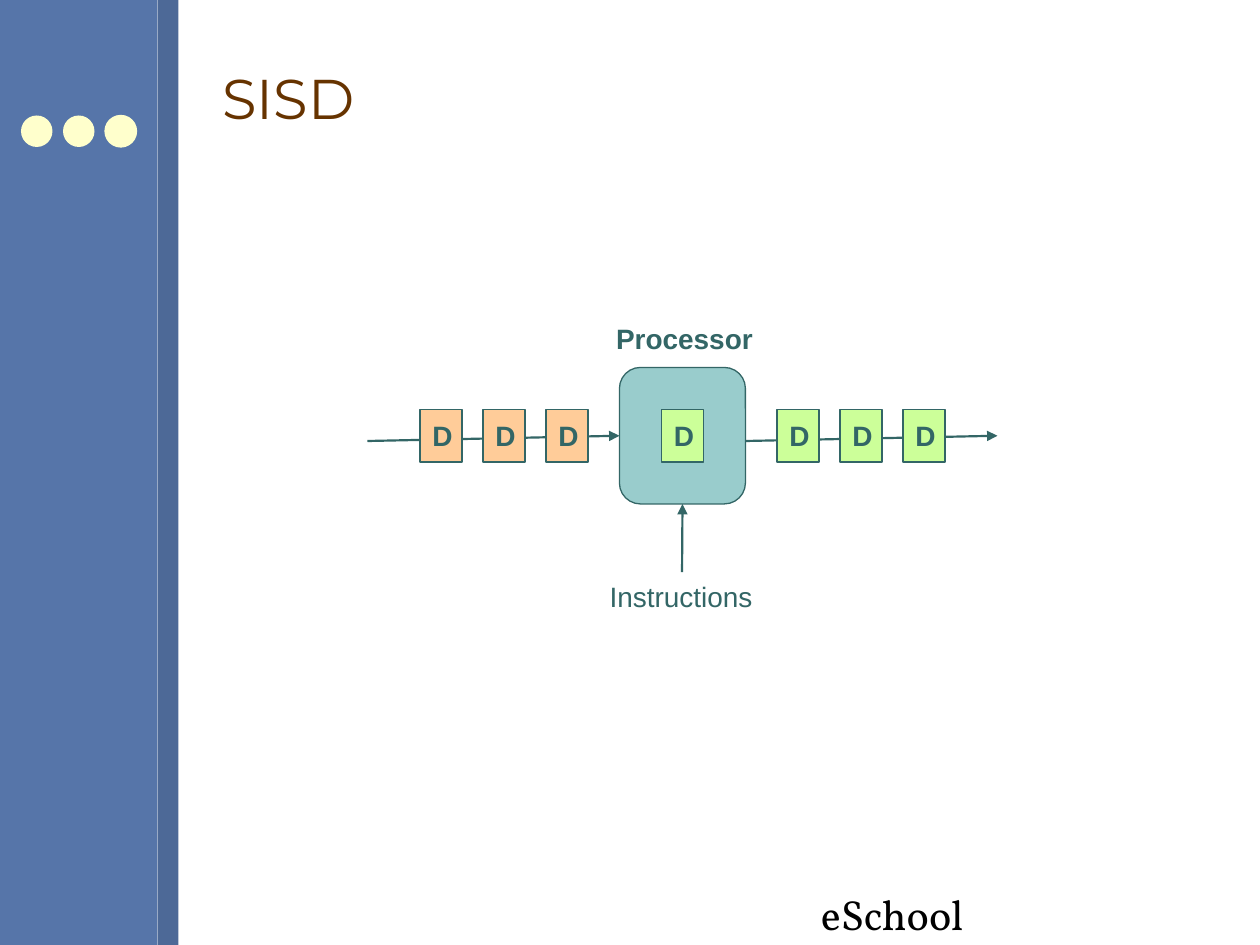
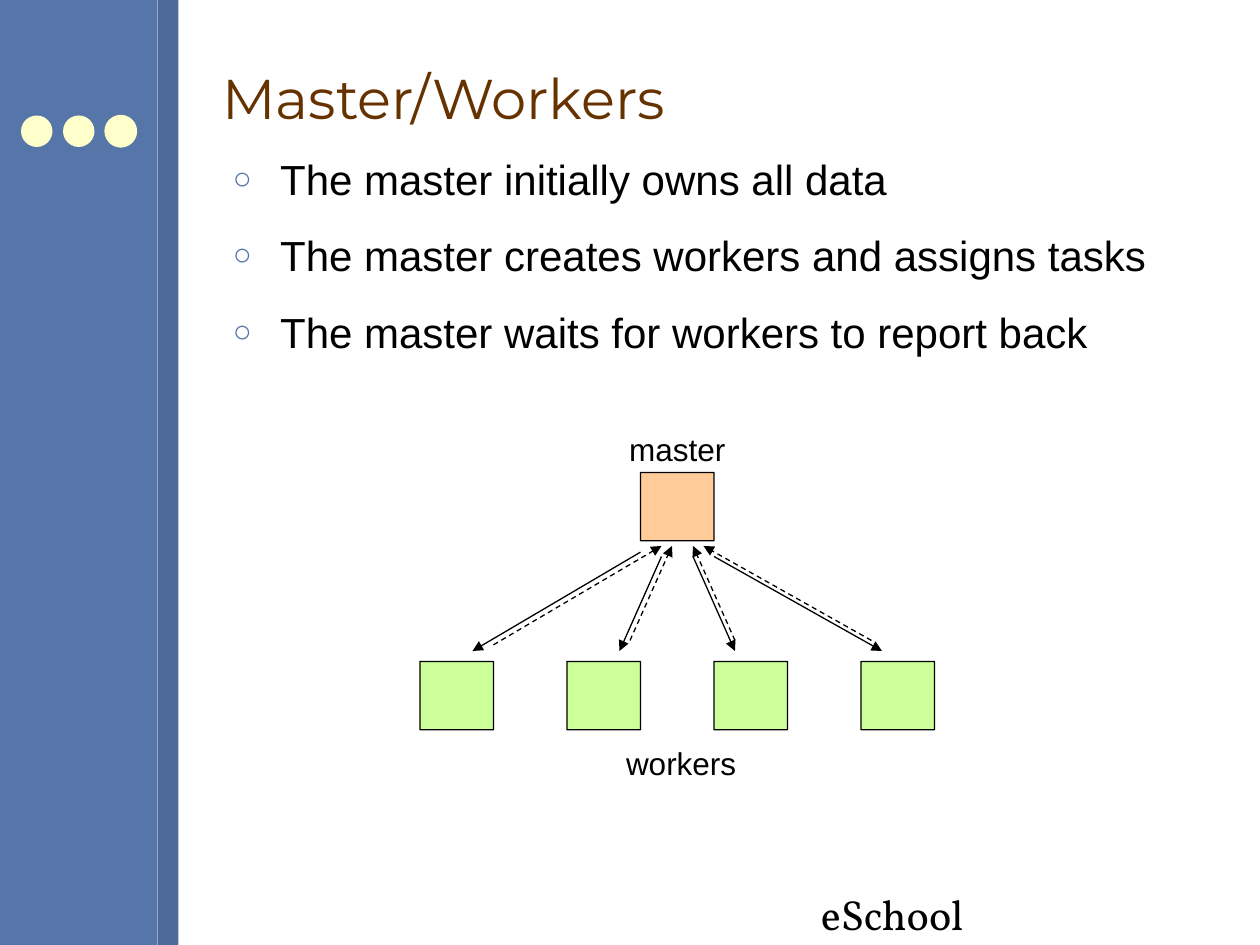
"""Build two slides on parallel processing: SISD and master/workers."""
import pptx
import pptx.util
import pptx.dml.color
import pptx.enum.dml
import pptx.enum.shapes
import pptx.enum.text
import pptx.oxml
from pptx.oxml import ns

Pt = pptx.util.Pt
Shape = pptx.enum.shapes.MSO_SHAPE
Align = pptx.enum.text.PP_ALIGN
Anchor = pptx.enum.text.MSO_ANCHOR
Fit = pptx.enum.text.MSO_AUTO_SIZE

BLUE, NAVY, CREAM, BROWN = "5675A9", "4D6997", "FFFFCC", "663300"
TEAL, AQUA, PEACH, LIME = "336666", "99CCCC", "FFCC99", "CCFF99"
BLACK, WHITE = "000000", "FFFFFF"


def color(code):
    """Turn a hex string into a colour."""
    return pptx.dml.color.RGBColor.from_string(code)


def node(parent, tag, **attrs):
    """Append a drawing element to a parent."""
    item = pptx.oxml.parse_xml(f"<a:{tag} {ns.nsdecls('a')}/>")
    for key, value in attrs.items():
        item.set(key, value)
    parent.append(item)
    return item


def write(frame, words, size=16, font="Arial", ink=BLACK, bold=False,
          align=None, lead=None, gap=None, bullet=None):
    """Fill a text frame, one paragraph for each line of words."""
    for index, line in enumerate(words.split("\n")):
        para = frame.add_paragraph() if index else frame.paragraphs[0]
        if align is not None:
            para.alignment = align
        if lead:
            para.line_spacing = lead
        if gap:
            para.space_before = para.space_after = Pt(gap)
        run = para.add_run()
        run.text = line
        run.font.size, run.font.name, run.font.bold = Pt(size), font, bold
        run.font.color.rgb = color(ink)
        if bullet:
            props = para._p.get_or_add_pPr()
            props.set("marL", str(Pt(27)))
            props.set("indent", str(-Pt(27)))
            node(node(props, "buClr"), "srgbClr", val=BLUE)
            node(props, "buSzPct", val="75000")
            node(props, "buFont", typeface=font)
            node(props, "buChar", char=bullet)


def label(slide, words, left, top, width, height, fit=True,
          anchor=Anchor.TOP, **style):
    """Place a text box."""
    frame = slide.shapes.add_textbox(
        Pt(left), Pt(top), Pt(width), Pt(height)).text_frame
    frame.word_wrap = True
    frame.auto_size = Fit.SHAPE_TO_FIT_TEXT if fit else Fit.NONE
    frame.vertical_anchor = anchor
    write(frame, words, **style)


def block(slide, kind, left, top, width, height, fill, edge=None):
    """Place a filled shape, with an outline if an edge colour is given."""
    shape = slide.shapes.add_shape(
        kind, Pt(left), Pt(top), Pt(width), Pt(height))
    shape.shadow.inherit = False
    shape.fill.solid()
    shape.fill.fore_color.rgb = color(fill)
    if edge:
        shape.line.color.rgb = color(edge)
        shape.line.width = Pt(0.75)
    else:
        shape.line.fill.background()
    return shape


def arrow(slide, start, end, ink=BLACK, width=0.75, dash=False):
    """Draw a straight arrow from start to end."""
    link = slide.shapes.add_connector(
        pptx.enum.shapes.MSO_CONNECTOR.STRAIGHT,
        *(Pt(value) for value in (*start, *end)))
    link.line.color.rgb = color(ink)
    link.line.width = Pt(width)
    if dash:
        link.line.dash_style = pptx.enum.dml.MSO_LINE.DASH
    node(link.line._get_or_add_ln(), "tailEnd", type="triangle")
    node(link._element.spPr, "effectLst")


def datum(slide, left, fill):
    """Draw one data item on the stream."""
    shape = block(slide, Shape.RECTANGLE, left, 234, 24, 30, fill, TEAL)
    shape.text_frame.vertical_anchor = Anchor.MIDDLE
    write(shape.text_frame, "D", ink=TEAL, bold=True, align=Align.CENTER)


def agent(slide, left, top, fill):
    """Draw the box of a master or worker."""
    shape = block(slide, Shape.ROUNDED_RECTANGLE, left, top, 42, 39,
                  fill, BLACK)
    shape.adjustments[0] = 0.003


def start_slide(deck, title):
    """Add a slide with the side bands, dots, footer and title."""
    slide = deck.slides.add_slide(deck.slide_layouts[6])
    slide.background.fill.solid()
    slide.background.fill.fore_color.rgb = color(WHITE)
    block(slide, Shape.RECTANGLE, 0, 0, 90, 540, BLUE)
    block(slide, Shape.RECTANGLE, 90, 0, 12, 540, NAVY)
    for left, edge in ((12, None), (36, None), (60, CREAM)):
        block(slide, Shape.OVAL, left, 66, 18, 18, CREAM, edge)
    label(slide, "eSchool", 462, 504, 100, 36, size=24, font="Vollkorn")
    label(slide, title, 120, 15, 576, 81, fit=False, anchor=Anchor.MIDDLE,
          size=32, font="Montserrat", ink=BROWN)
    return slide


def draw_sisd(deck):
    """Build the slide with one processor and one data stream."""
    slide = start_slide(deck, "SISD")
    for left in (210, 426):
        arrow(slide, (left, 252), (left + 144, 249), TEAL, 1.25)
    block(slide, Shape.ROUNDED_RECTANGLE, 354, 210, 72, 78, AQUA, TEAL)
    for first, fill in ((240, PEACH), (444, LIME)):
        for step in range(3):
            datum(slide, first + 36 * step, fill)
    datum(slide, 378, LIME)
    arrow(slide, (389.75, 327), (390, 288), TEAL, 1.25)
    label(slide, "Processor", 345, 180, 96, 26.5, ink=TEAL, bold=True)
    label(slide, "Instructions", 341.25, 327.5, 98, 26.5, ink=TEAL)


def draw_master(deck):
    """Build the slide with a master and four workers."""
    slide = start_slide(deck, "Master/Workers")
    label(slide, "The master initially owns all data\n"
          "The master creates workers and assigns tasks\n"
          "The master waits for workers to report back",
          126, 84, 570, 414, fit=False, size=24, gap=7.5, bullet="○")
    for step in range(4):
        agent(slide, 240 + 84 * step, 378, LIME)
    agent(slide, 366, 270, PEACH)
    routes = ((366, 315.5, 378, 368.5, -96), (378, 318, 384, 366, -24),
              (396, 318, 396, 366, 24), (408, 318, 402, 366, 96))
    for task, top, reply, low, shift in routes:
        arrow(slide, (task, top), (task + shift, 372))
        arrow(slide, (reply + shift, low), (reply, 312), dash=True)
    style = dict(size=18, align=Align.CENTER, lead=0.81)
    label(slide, "workers", 300, 425.5, 178.5, 24.5, **style)
    label(slide, "master", 312, 246, 150, 24.5, **style)


def main():
    """Build and save the deck."""
    deck = pptx.Presentation()
    deck.slide_width, deck.slide_height = Pt(720), Pt(540)
    draw_sisd(deck)
    draw_master(deck)
    deck.save("out.pptx")


if __name__ == "__main__":
    main()
